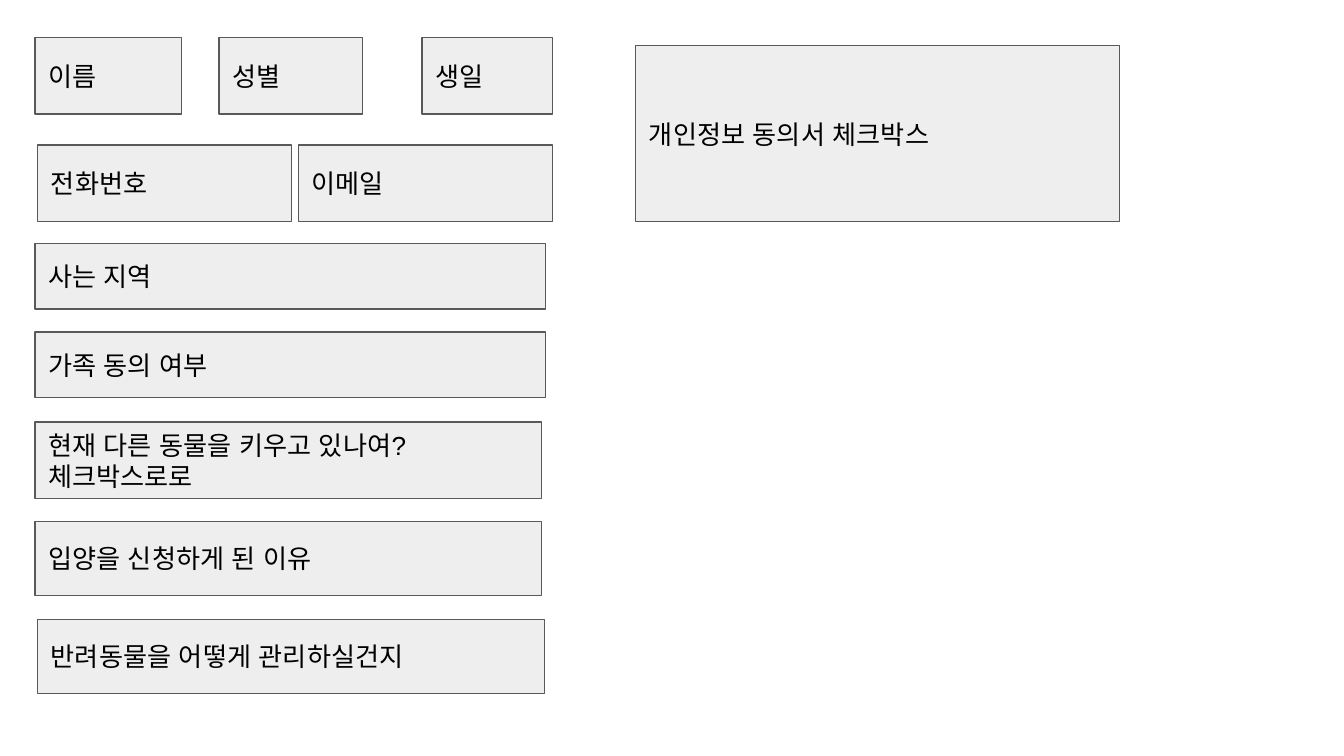
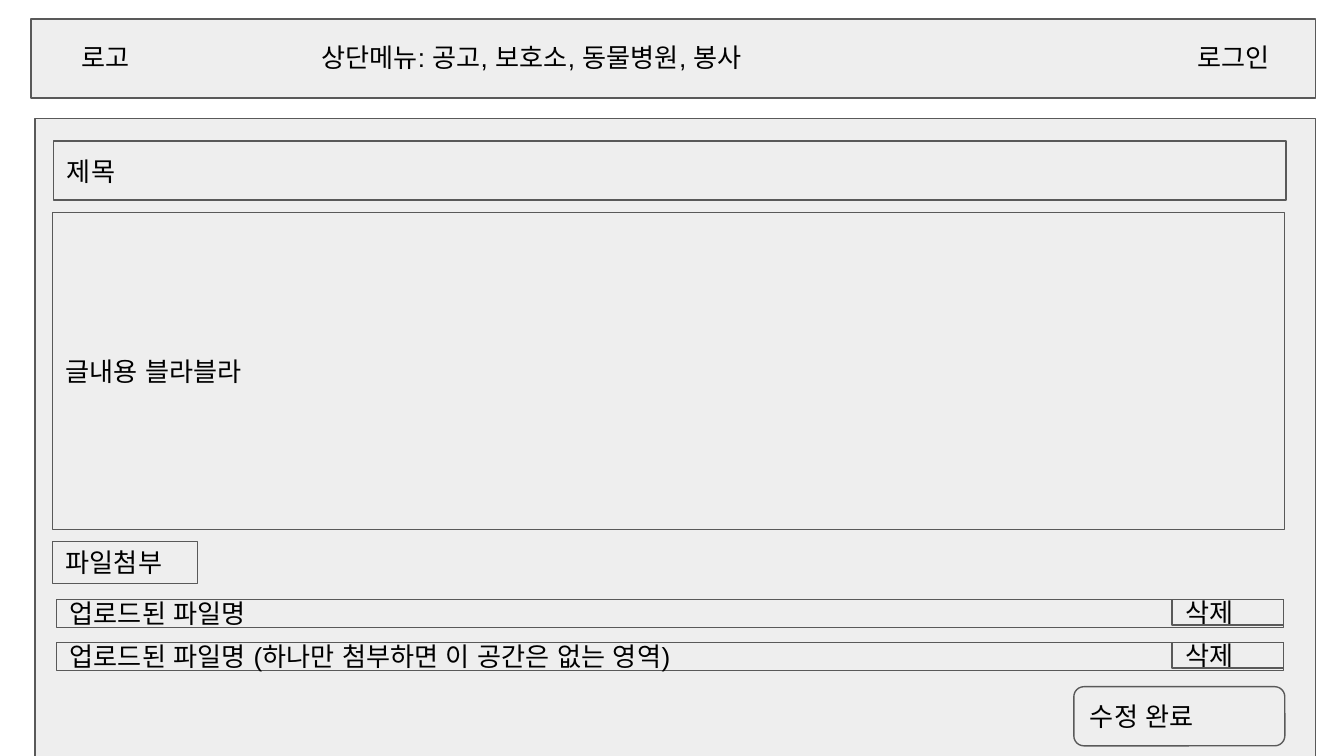
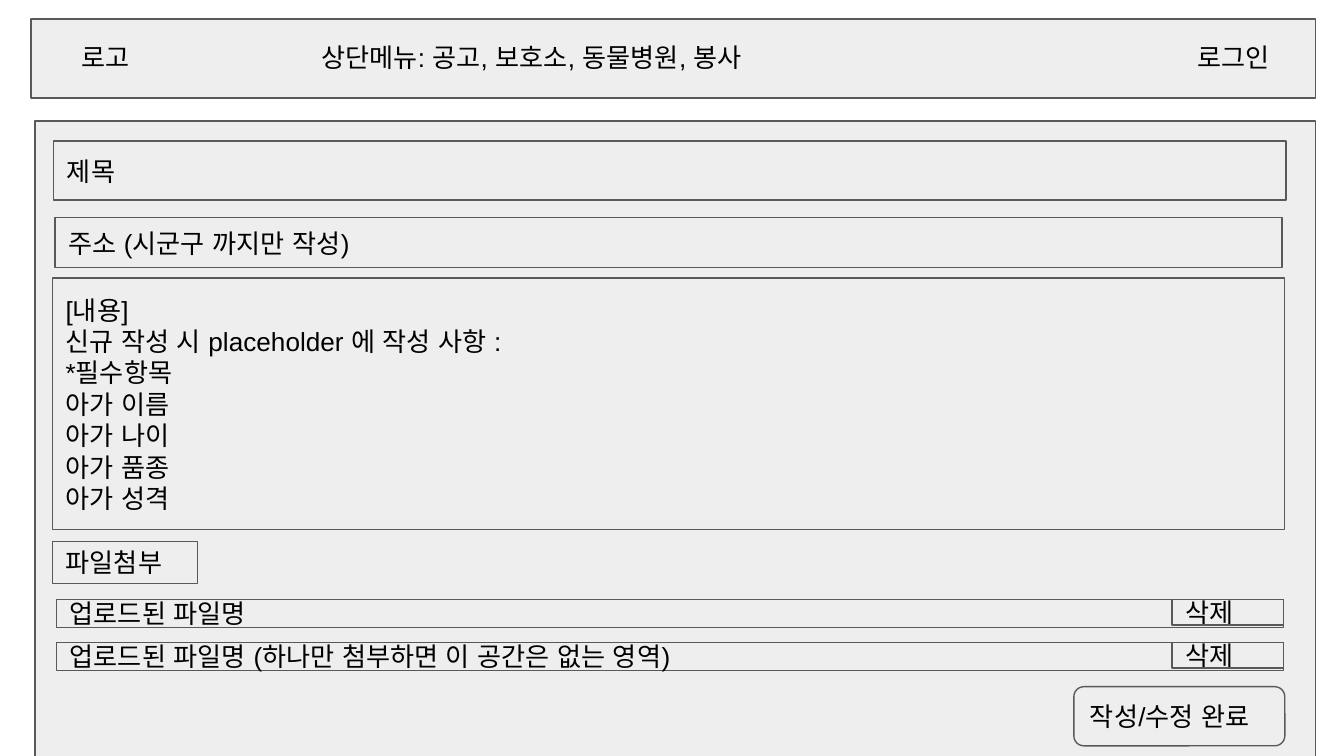
from lxml.etree import SubElement as Sub
from pptx import Presentation as Deck
from pptx.dml.color import RGBColor as Rgb
from pptx.enum.shapes import MSO_SHAPE as Kind
from pptx.enum.text import MSO_ANCHOR as Anchor, MSO_AUTO_SIZE as Fit, PP_ALIGN as Align
from pptx.oxml.ns import qn
from pptx.util import Inches, Pt

HUES = {"fill": "EEEEEE", "line": "595959", "text": "000000"}
FONT = {"name": "Arial", "size": Pt(14)}
PAD = Inches(0.1)
FRAME = {"word_wrap": True, "margin_left": PAD, "margin_right": PAD,
         "margin_top": PAD, "margin_bottom": PAD}
FIELD = {**FRAME, "vertical_anchor": Anchor.MIDDLE}
LABEL = {**FRAME, "vertical_anchor": Anchor.TOP, "auto_size": Fit.SHAPE_TO_FIT_TEXT}

FORM = [
    ("이름", 0.26, 0.28, 1.09, 0.57),
    ("성별", 1.63, 0.28, 1.07, 0.57),
    ("생일", 3.14, 0.28, 0.97, 0.57),
    ("전화번호", 0.28, 1.08, 1.89, 0.57),
    ("이메일", 2.22, 1.08, 1.89, 0.57),
    ("사는 지역", 0.26, 1.81, 3.8, 0.49),
    ("가족 동의 여부", 0.26, 2.47, 3.8, 0.49),
    ("반려동물을 어떻게 관리하실건지", 0.28, 4.61, 3.77, 0.55),
    ("현재 다른 동물을 키우고 있나여? 체크박스로로", 0.26, 3.14, 3.77, 0.57),
    ("입양을 신청하게 된 이유", 0.26, 3.88, 3.77, 0.55),
    ("개인정보 동의서 체크박스", 4.73, 0.34, 3.6, 1.31),
]
MENU = [
    ("로고", 0.51, 0.83),
    ("로그인", 8.81, 0.83),
    ("상단메뉴: 공고, 보호소, 동물병원, 봉사", 2.29, 5.91),
]
FILES = ["업로드된 파일명", "업로드된 파일명 (하나만 첨부하면 이 공간은 없는 영역)"]
GUIDE = "\n".join(["[내용]", "신규 작성 시 placeholder 에 작성 사항 :", "*필수항목",
                   "아가 이름", "아가 나이", "아가 품종", "아가 성격"])


def hue(key):
    """Return the named colour."""
    return Rgb.from_string(HUES[key])


def apply(item, style):
    """Set each attribute held in a style dict."""
    for key, value in style.items():
        setattr(item, key, value)


def write(shape, text, style):
    """Put text, one paragraph a line, in a shape."""
    frame = shape.text_frame
    apply(frame, style)
    frame.text = text
    for para in frame.paragraphs:
        para.alignment = Align.LEFT
        for run in para.runs:
            apply(run.font, FONT)
            run.font.color.rgb = hue("text")
            for tag in ("a:ea", "a:cs"):
                Sub(run.font._element, qn(tag), typeface=FONT["name"])


def box(slide, text, x, y, w, h, kind=Kind.RECTANGLE):
    """Add an outlined grey box, with a label if there is one."""
    shape = slide.shapes.add_shape(kind, *map(Inches, (x, y, w, h)))
    shape.shadow.inherit = False
    shape.fill.solid()
    shape.fill.fore_color.rgb = hue("fill")
    shape.line.color.rgb = hue("line")
    shape.line.width = Pt(0.75)
    if text:
        write(shape, text, FIELD)
    return shape


def label(slide, text, x, y, w, h):
    """Add a plain text label."""
    write(slide.shapes.add_textbox(*map(Inches, (x, y, w, h))), text, LABEL)


def header(slide):
    """Add the top menu bar."""
    box(slide, "", 0.23, 0.14, 9.56, 0.59)
    for text, x, w in MENU:
        label(slide, text, x, 0.21, w, 0.44)


def upload(slide):
    """Add the attach button and the rows of uploaded files."""
    box(slide, "파일첨부", 0.39, 4.03, 1.08, 0.31)
    for row, name in enumerate(FILES):
        y = 4.46 + 0.32 * row
        box(slide, name, 0.42, y, 9.13, 0.21)
        box(slide, "삭제", 8.72, y, 0.83, 0.19)


def editor(slide, top, tall, body, start, done):
    """Add a post editor page."""
    header(slide)
    box(slide, "", 0.26, top, 9.53, tall)
    box(slide, "제목", 0.4, 1.05, 9.17, 0.44)
    box(slide, body, 0.39, start, 9.17, 3.94 - start)
    upload(slide)
    button = box(slide, done, 7.99, 5.11, 1.57, 0.44, Kind.ROUNDED_RECTANGLE)
    button.adjustments[0] = 0.17


def main():
    """Build the three screens and save the deck."""
    deck = Deck()
    deck.slide_width = Inches(10)
    deck.slide_height = deck.slide_width * 9 // 16
    form, edit, post = [deck.slides.add_slide(deck.slide_layouts[6]) for _ in range(3)]
    for field in FORM:
        box(form, *field)
    editor(edit, 0.88, 5.11, "글내용 블라블라", 1.58, "수정 완료")
    editor(post, 0.9, 4.73, GUIDE, 2.07, "작성/수정 완료")
    box(post, "주소 (시군구 까지만 작성)", 0.41, 1.62, 9.13, 0.37)
    deck.save("out.pptx")


if __name__ == "__main__":
    main()
